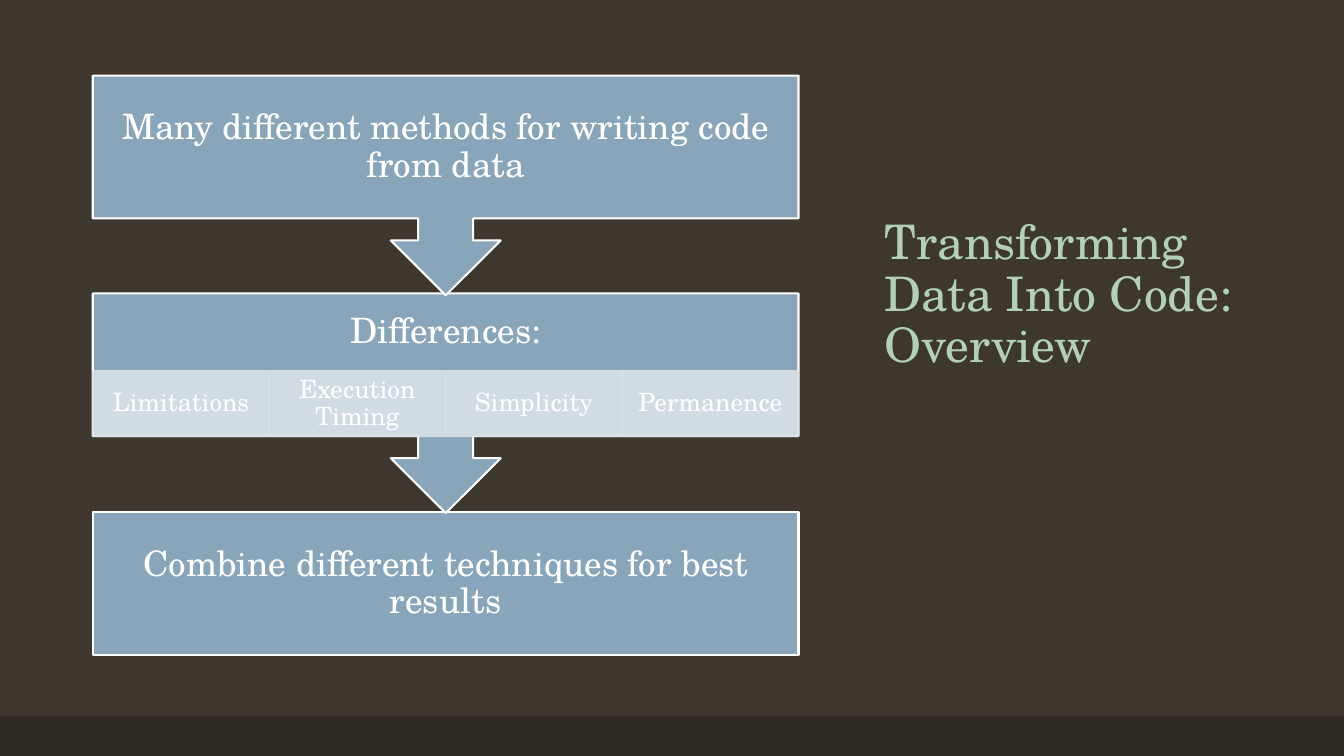
from lxml.etree import SubElement
from pptx import Presentation
from pptx.dml.color import RGBColor
from pptx.enum.shapes import MSO_SHAPE
from pptx.enum.text import MSO_ANCHOR, PP_ALIGN
from pptx.oxml.ns import qn
from pptx.util import Inches, Pt


def tint(fill, color):
    fill.solid()
    fill.fore_color.rgb = RGBColor.from_string(color)


class Deck:
    """Holds the style and the current slide, and draws each kind of element."""

    font = "TeX Gyre Schola"
    white, blue, pale = "FFFFFF", "88A5BA", "DAE1E7"
    green, ground, dark = "B2D0B4", "3D372E", "2E2923"

    def __init__(self):
        self.show = Presentation()
        self.show.slide_width = Inches(13.33)
        self.show.slide_height = Inches(7.5)
        self.slide = self.show.slides.add_slide(self.show.slide_layouts[6])
        tint(self.slide.background.fill, self.ground)

    def shape(self, kind, area, color, line=None, width=1.5):
        item = self.slide.shapes.add_shape(kind, *map(Inches, area))
        item.shadow.inherit = False
        tint(item.fill, color)
        if line:
            item.line.width = Pt(width)
            tint(item.line.fill, line)
        else:
            item.line.fill.background()
        return item

    def text(self, item, words, size, color=white, pad=(0.19, 0.19),
             align=PP_ALIGN.CENTER, anchor=MSO_ANCHOR.MIDDLE):
        frame = item.text_frame
        frame.word_wrap = True
        frame.vertical_anchor = anchor
        frame.margin_left = frame.margin_right = Inches(pad[0])
        frame.margin_top = frame.margin_bottom = Inches(pad[1])
        line = frame.paragraphs[0]
        line.text = words
        line.alignment = align
        line.line_spacing = 0.9
        line.font.name = self.font
        line.font.size = Pt(size)
        line.font.color.rgb = RGBColor.from_string(color)

    def label(self, area, words, size, **style):
        box = self.slide.shapes.add_textbox(*map(Inches, area))
        self.text(box, words, size, **style)

    def box(self, area, words):
        item = self.shape(MSO_SHAPE.RECTANGLE, area, self.blue, self.white)
        self.text(item, words, 25)

    def arrow(self, area, words, height):
        left, top, width, _ = area
        item = self.shape(MSO_SHAPE.UP_ARROW_CALLOUT, area, self.blue, self.white)
        item.rotation = 180
        self.label((left, top, width, height), words, 25)

    def tile(self, area, words):
        item = self.shape(MSO_SHAPE.RECTANGLE, area, self.pale, self.pale, 1)
        for color in item.element.iter(qn("a:srgbClr")):
            SubElement(color, qn("a:alpha"), val="90000")
        self.text(item, words, 18, pad=(0.14, 0.03))


def main():
    deck = Deck()
    deck.shape(MSO_SHAPE.RECTANGLE, (0, 7.1, 13.33, 0.4), deck.dark)
    deck.label((8.67, 1.67, 3.75, 2.08), "Transforming Data Into Code: Overview", 34,
               color=deck.green, pad=(0.1, 0.05), align=PP_ALIGN.LEFT,
               anchor=MSO_ANCHOR.BOTTOM)

    left, width, tall, high = 0.92, 7, 2.18, 1.42
    first, second, third = 0.75, 2.91, 5.08
    head = 0.77
    deck.box((left, third, width, high), "Combine different techniques for best results")
    deck.arrow((left, second, width, tall), "Differences:", head)
    tiles = ["Limitations", "Execution Timing", "Simplicity", "Permanence"]
    step = width / len(tiles)
    for i, words in enumerate(tiles):
        deck.tile((left + i * step, second + head, step, high - head), words)
    deck.arrow((left, first, width, tall),
               "Many different methods for writing code from data", high)
    deck.show.save("out.pptx")


if __name__ == "__main__":
    main()
